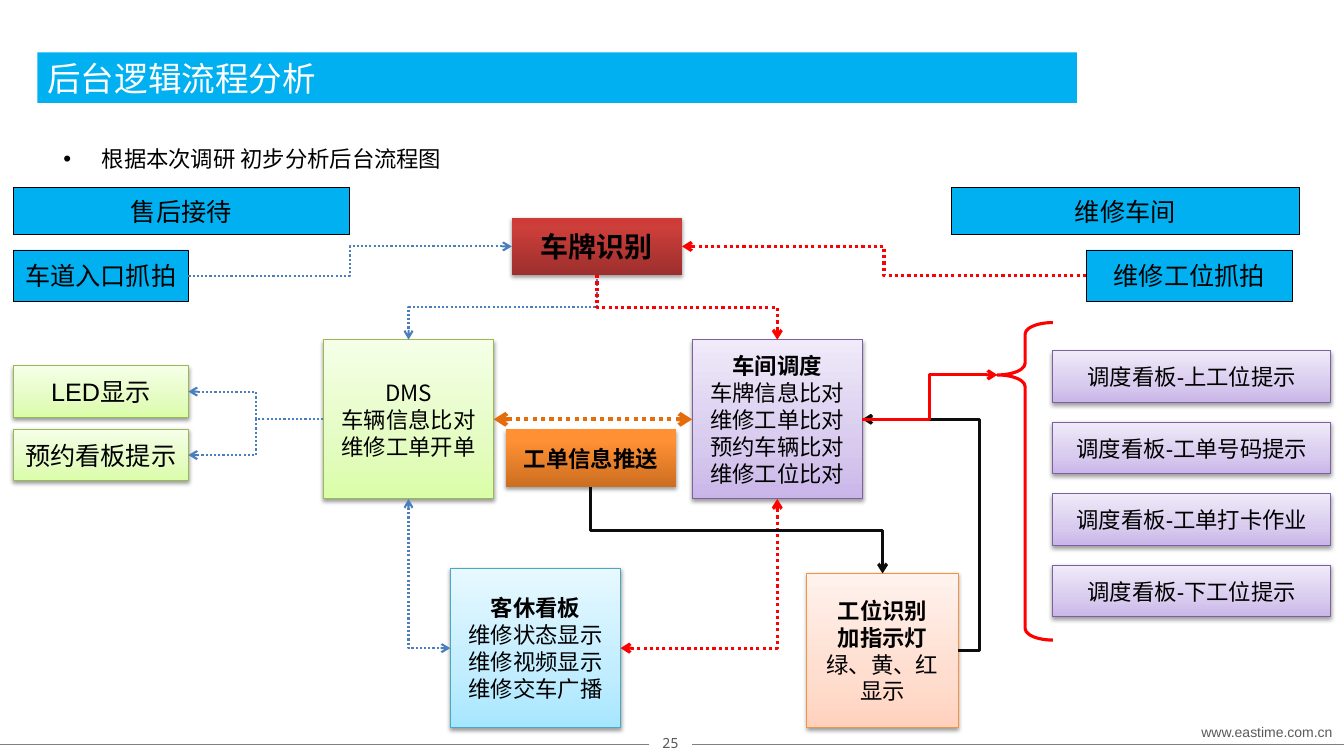
from lxml import etree
from pptx import Presentation
from pptx import util as u
from pptx.dml.color import RGBColor
from pptx.enum import dml, shapes, text
from pptx.oxml.ns import qn

PX = 9144  # EMU per px, 100 px to the inch
SANS, ARIAL, MONO = "Noto Sans CJK SC", "Arial", "Noto Sans Mono"
COLORS = {"cyan": "00B0F0", "black": "000000", "white": "FFFFFF", "gray": "595959",
          "rule": "808080", "red": "FF0000", "blue": "4B7EBC", "orange": "E46C0A",
          "ink": "0D0D0D"}
# Gradient stops (position in %, colour), running upwards; outline; shadow
THEMES = {
    "green": ([(0, "DAFDA7"), (35, "E4FCC2"), (100, "F5FFE7")], "98B955"),
    "purple": ([(0, "C9B5E8"), (35, "D8CBEE"), (100, "F0EAF9")], "7D60A0"),
    "sky": ([(0, "A7E6FF"), (35, "C1EDFF"), (100, "E7F8FF")], "46AAC5"),
    "peach": ([(0, "FFD2BD"), (35, "FFDED0"), (100, "FFF2ED")], "F69240"),
    "amber": ([(0, "CC6E20"), (80, "FF9034"), (100, "FF9136")], None),
    "crimson": ([(0, "9C2F2D"), (80, "CB3E3A"), (100, "CE3B37")], None),
}
SITES = {"top": 0, "left": 1, "bottom": 2, "right": 3}


def rgb(name):
    return RGBColor.from_string(COLORS.get(name, name))


def px(*lengths):
    return [u.Emu(round(length * PX)) for length in lengths]


def child(parent, tag, **attributes):
    return etree.SubElement(parent, qn(tag), {k: str(v) for k, v in attributes.items()})


def write(frame, lines, size=16, font=SANS, color="black", bold_lines=0,
          align=text.PP_ALIGN.CENTER, anchor=text.MSO_ANCHOR.MIDDLE, wrap=True):
    frame.word_wrap = wrap
    frame.vertical_anchor = anchor
    for index, line in enumerate(lines):
        para = frame.paragraphs[0] if index == 0 else frame.add_paragraph()
        para.alignment = align
        span = para.add_run()
        span.text = line
        span.font.size = u.Pt(size)
        span.font.name = font
        span.font.bold = index < bold_lines
        span.font.color.rgb = rgb(color)
        child(span.font._element, "a:ea", typeface=SANS)


def paint(shape, theme):
    """Gradient fill, outline and soft shadow of a themed box."""
    stops, outline = THEMES[theme]
    shape.fill.gradient()
    shape.fill.gradient_angle = 90
    stop_list = shape._element.spPr.find(".//" + qn("a:gsLst"))
    stop_list.clear()
    for position, color in stops:
        stop = child(stop_list, "a:gs", pos=position * 1000)
        child(stop, "a:srgbClr", val=color)
    if outline:
        shape.line.color.rgb = rgb(outline)
        shape.line.width = u.Pt(0.75)
    else:
        shape.line.fill.background()
    effects = shape._element.spPr.find(qn("a:effectLst"))
    shadow = child(effects, "a:outerShdw", blurRad=u.Pt(3.1), dist=u.Pt(1.6),
                   dir=5400000, rotWithShape=0)
    child(child(shadow, "a:srgbClr", val=COLORS["black"]), "a:alpha", val=38000)


def node(page, box, place, lines, theme=None, **style):
    """A labelled box; place is left, top, width, height within the region."""
    left, top, width, height = place
    shape = page.shapes.add_shape(shapes.MSO_SHAPE.RECTANGLE,
                                  *px(box[0] + left, box[1] + top, width, height))
    shape.shadow.inherit = False
    if theme:
        paint(shape, theme)
    else:
        shape.fill.solid()
        shape.fill.fore_color.rgb = rgb("cyan")
        shape.line.color.rgb = rgb("black")
        shape.line.width = u.Pt(0.5)
    write(shape.text_frame, lines, **style)
    return shape


def stroke(line, color, width, dotted=False, heads=()):
    child(line._element.spPr, "a:effectLst")
    line.line.color.rgb = rgb(color)
    line.line.width = u.Pt(width)
    if dotted:
        line.line.dash_style = dml.MSO_LINE.ROUND_DOT
    for end in heads:
        child(line.line._ln, f"a:{end}End", type="arrow")


def site(shape, side):
    across = {"left": 0, "right": 1}.get(side, 0.5)
    down = {"top": 0, "bottom": 1}.get(side, 0.5)
    if len(shape.adjustments) == 2:  # the brace points at its own height
        down = shape.adjustments[1]
    return shape.left + across * shape.width, shape.top + down * shape.height


def link(page, start, end, color, width=2.25, dotted=True, both=False, bend=None,
         kind="bentConnector3"):
    """Connector between two (shape, side) ends; it turns when it leaves vertically."""
    (x1, y1), (x2, y2) = site(*start), site(*end)
    rotation = None
    if start[1] in ("top", "bottom"):
        turn = 1 if x2 < x1 else -1
        rotation = 5400000 if turn == 1 else 16200000
        middle_x, middle_y = (x1 + x2) / 2, (y1 + y2) / 2
        half_x, half_y = turn * (x2 - x1) / 2, turn * (y2 - y1) / 2
        x1, y1 = middle_x - half_y, middle_y + half_x
        x2, y2 = middle_x + half_y, middle_y - half_x
    line = page.shapes.add_connector(shapes.MSO_CONNECTOR.ELBOW,
                                     *(u.Emu(round(v)) for v in (x1, y1, x2, y2)))
    if rotation:
        line._element.spPr.find(qn("a:xfrm")).set("rot", str(rotation))
    geometry = line._element.spPr.find(qn("a:prstGeom"))
    geometry.set("prst", kind)
    if bend is not None:
        child(geometry.find(qn("a:avLst")), "a:gd", name="adj1", fmla=f"val {bend}")
    stroke(line, color, width, dotted, ("head", "tail") if both else ("tail",))


def header(page, box):
    left, top, width, height = box
    title, body = page.shapes.title, page.placeholders[1]
    title.left, title.top, title.width, title.height = px(left, top, width, height)
    title.fill.solid()
    title.fill.fore_color.rgb = rgb("cyan")
    write(title.text_frame, ["后台逻辑流程分析"], size=24, color="white",
          align=text.PP_ALIGN.LEFT)
    body.left, body.top, body.width, body.height = px(left + 16, top + 79, 1229, 63)
    para = body.text_frame.paragraphs[0]
    properties = para._p.get_or_add_pPr()
    properties.set("marL", str(38 * PX))
    properties.set("indent", str(-38 * PX))
    child(properties, "a:buChar", char="•")
    para.line_spacing = 1.3
    para.space_before = u.Pt(0)
    write(body.text_frame, ["根据本次调研 初步分析后台流程图"],
          align=text.PP_ALIGN.LEFT, anchor=text.MSO_ANCHOR.TOP)


def footer(page, box):
    left, top, width, height = box
    rule_y = top + 25
    for start, end in ((left, left + 644), (left + 687, left + width)):
        rule = page.shapes.add_connector(shapes.MSO_CONNECTOR.STRAIGHT,
                                         *px(start, rule_y, end, rule_y))
        stroke(rule, "rule", 0.25)
    for x, y, wide, label, font in ((644, 11, 43, "25", MONO),
                                    (1179, 0, 157, "www.eastime.com.cn", ARIAL)):
        label_box = page.shapes.add_textbox(*px(left + x, top + y, wide, 27))
        write(label_box.text_frame, [label], size=10, font=font, color="gray", wrap=False)


def reception(page, box):
    style = {"size": 18, "font": ARIAL}
    node(page, box, (0, 0, 334, 47), ["售后接待"], **style)
    return {
        "entry": node(page, box, (0, 62, 174, 51), ["车道入口抓拍"], **style),
        "led": node(page, box, (0, 177, 174, 51), ["LED显示"], "green", **style),
        "booking": node(page, box, (0, 240, 174, 51), ["预约看板提示"], "green", **style),
    }


def workshop(page, box):
    style = {"size": 18, "font": ARIAL}
    node(page, box, (0, 0, 346, 47), ["维修车间"], **style)
    bay = node(page, box, (134, 62, 205, 51), ["维修工位抓拍"], **style)
    for row, notice in enumerate(("上工位提示", "工单号码提示", "工单打卡作业", "下工位提示")):
        node(page, box, (101, 162 + row * 71, 276, 51), ["调度看板-" + notice], "purple",
             font=ARIAL)
    brace = page.shapes.add_shape(shapes.MSO_SHAPE.LEFT_BRACE,
                                  *px(box[0] + 46, box[1] + 134, 55, 315))
    brace.shadow.inherit = False
    brace.fill.background()
    brace.line.color.rgb = rgb("red")
    brace.line.width = u.Pt(2.25)
    brace.adjustments[0], brace.adjustments[1] = 0.21, 0.165
    return {"bay": bay, "brace": brace}


def core(page, box):
    return {
        "push": node(page, box, (181, 210, 169, 57), ["工单信息推送"], "amber", bold_lines=1),
        "plate": node(page, box, (187, 0, 169, 57), ["车牌识别"], "crimson", size=20,
                      bold_lines=1),
        "dms": node(page, box, (0, 121, 169, 158),
                    ["DMS", "车辆信息比对", "维修工单开单"], "green"),
        "dispatch": node(page, box, (366, 121, 169, 158),
                         ["车间调度", "车牌信息比对", "维修工单比对", "预约车辆比对",
                          "维修工位比对"], "purple", bold_lines=1),
        "lounge": node(page, box, (126, 348, 169, 158),
                       ["客休看板", "维修状态显示", "维修视频显示", "维修交车广播"],
                       "sky", bold_lines=1),
        "lamp": node(page, box, (480, 353, 150, 153),
                     ["工位识别", "加指示灯", "绿、黄、红", "显示"], "peach", bold_lines=2),
    }


def flows(page, n):
    blue = {"color": "blue", "width": 1.5}
    corner = {"both": True, "kind": "bentConnector2"}
    solid = {"dotted": False}
    for start, start_side, end, end_side, style in (
            ("plate", "bottom", "dms", "top", blue),
            ("dms", "left", "led", "right", blue),
            ("dms", "left", "booking", "right", blue),
            ("entry", "right", "plate", "left", blue),
            ("dms", "bottom", "lounge", "left", {**blue, **corner}),
            ("plate", "bottom", "dispatch", "top", {"color": "red"}),
            ("bay", "left", "plate", "right", {"color": "red"}),
            ("dispatch", "bottom", "lounge", "right", {"color": "red", **corner}),
            ("push", "bottom", "lamp", "top", {"color": "ink", **solid}),
            ("lamp", "right", "dispatch", "right", {"color": "ink", "bend": -22000, **solid}),
            ("dispatch", "right", "brace", "left", {"color": "red", **solid})):
        link(page, (n[start], start_side), (n[end], end_side), **style)
    # Two-way exchange between DMS and dispatch
    ends = site(n["dms"], "right") + site(n["dispatch"], "left")
    exchange = page.shapes.add_connector(shapes.MSO_CONNECTOR.STRAIGHT,
                                         *(u.Emu(round(v)) for v in ends))
    stroke(exchange, "orange", 3, True, ("head", "tail"))


def main():
    deck = Presentation()
    deck.slide_width, deck.slide_height = px(1334, 750)
    page = deck.slides.add_slide(deck.slide_layouts[1])
    footer(page, (0, 713, 1334, 37))
    header(page, (37, 52, 1032, 50))
    nodes = {**reception(page, (13, 186, 334, 291)),
             **workshop(page, (944, 186, 377, 449)),
             **core(page, (321, 216, 630, 506))}
    flows(page, nodes)
    deck.save("out.pptx")


if __name__ == "__main__":
    main()
